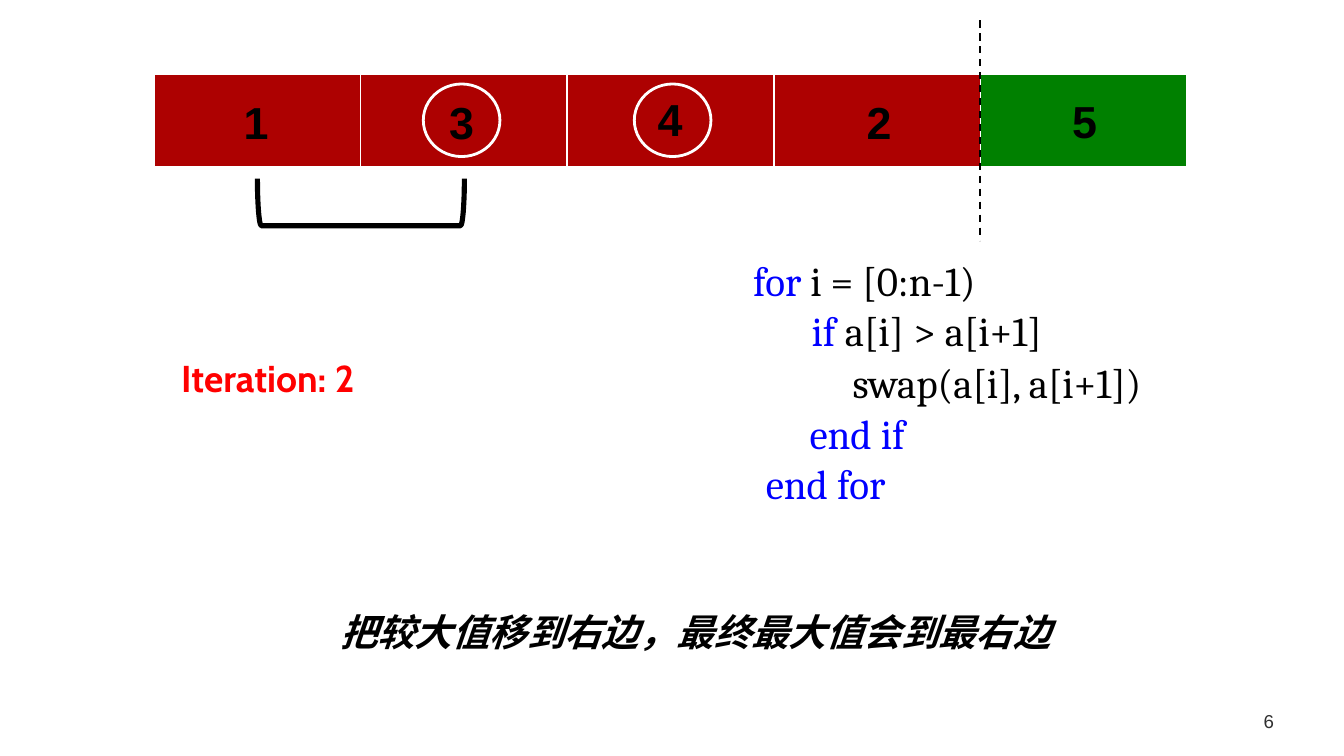
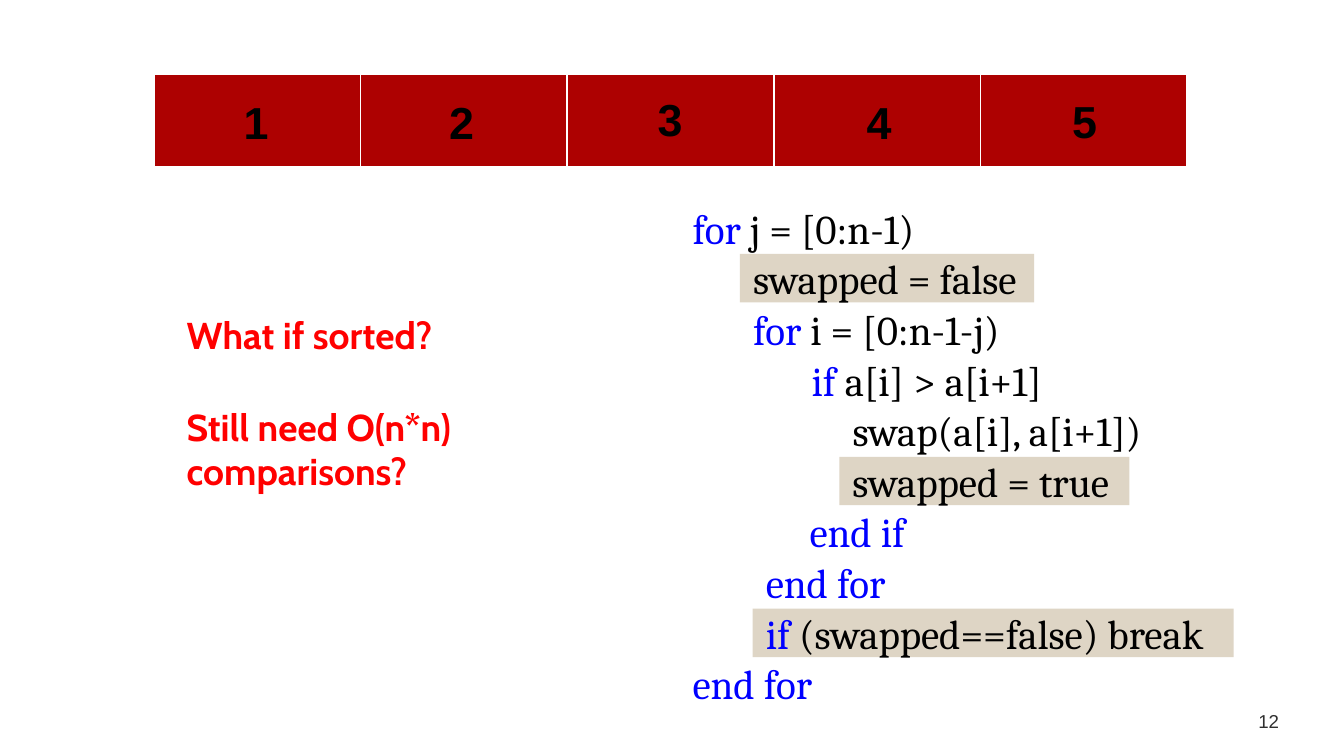
import dataclasses
import typing

import lxml.etree
import pptx
import pptx.dml.color
import pptx.enum.dml
import pptx.enum.shapes
import pptx.enum.text
import pptx.oxml.ns
import pptx.util

PX = 4572  # EMU in one px, 200 px to the inch
HUES = {
    "black": "000000", "white": "FFFFFF", "gray": "303030",
    "red": "FF0000", "blue": "0000FF", "brick": "AD0101",
    "green": "008000", "sand": "DED5C5",
}
ALIGN = pptx.enum.text.PP_ALIGN
ANCHOR = pptx.enum.text.MSO_ANCHOR
SHAPE = pptx.enum.shapes.MSO_SHAPE

# Font styles
DIGIT = {"name": "Arial", "size": 24, "bold": True}
CODE = {"name": "Cambria", "size": 22}
NOTE = {"name": "Cabin", "size": 20, "bold": True}
MOTTO = {**NOTE, "italic": True}
PAGE = {"name": "Arial", "size": 10}

# Frame styles
GROW = {"word_wrap": True,
        "auto_size": pptx.enum.text.MSO_AUTO_SIZE.SHAPE_TO_FIT_TEXT}
FOOT = {"word_wrap": True, "vertical_anchor": ANCHOR.BOTTOM}
TIGHT = {"word_wrap": False, "vertical_anchor": ANCHOR.MIDDLE,
         "margin_top": 0, "margin_bottom": 0}


@dataclasses.dataclass
class Box:
    left: int
    top: int
    wide: int
    high: int

    def emu(self) -> list[int]:
        return [PX * n for n in dataclasses.astuple(self)]


@dataclasses.dataclass
class Line:
    """One line of code: a blue keyword, then black text."""
    left: int
    wide: int
    key: str
    rest: str = ""
    hot: bool = False


Run = tuple[str, str]  # text, hue name

# Places of the array and its digits
ROW = Box(229, 110, 1538, 140)
SPOTS = [(287, 131), (593, 131), (903, 127), (1214, 131), (1520, 130)]

# Code lines that both slides show
TEST = Line(1188, 416, "if", " a[i] > a[i+1]")
SWAP = Line(1249, 504, "", "swap(a[i], a[i+1])")
END_IF = Line(1185, 226, "end if")
END_FOR = Line(1120, 226, "end for")


def rgb(hue: str) -> pptx.dml.color.RGBColor:
    return pptx.dml.color.RGBColor.from_string(HUES[hue])


def put(obj: typing.Any, vals: dict) -> None:
    for key, val in vals.items():
        setattr(obj, key, pptx.util.Pt(val) if key == "size" else val)


def write(shape, runs: list[Run], font: dict, frame: dict, para: dict) -> None:
    put(shape.text_frame, frame)
    line = shape.text_frame.paragraphs[0]
    put(line, para)
    for text, hue in runs:
        run = line.add_run()
        run.text = text
        put(run.font, font)
        run.font.color.rgb = rgb(hue)


def text(slide, box: Box, words: str, hue: str, font: dict,
         frame: dict = GROW, **para) -> None:
    shape = slide.shapes.add_textbox(*box.emu())
    write(shape, [(words, hue)], font, frame, para)


def form(slide, kind, box: Box, fill: str = "", line: str = "",
         size: float = 1):
    shape = slide.shapes.add_shape(kind, *box.emu())
    shape.shadow.inherit = False
    if fill:
        shape.fill.solid()
        shape.fill.fore_color.rgb = rgb(fill)
    else:
        shape.fill.background()
    if line:
        shape.line.color.rgb = rgb(line)
        shape.line.width = pptx.util.Pt(size)
    else:
        shape.line.fill.background()
    return shape


def edge(cell) -> None:
    """Give a cell its white borders, the lower one thicker."""
    props = cell._tc.get_or_add_tcPr()
    qn = pptx.oxml.ns.qn
    for spot, (side, size) in enumerate(
            {"lnL": 1, "lnR": 1, "lnT": 1, "lnB": 3}.items()):
        line = lxml.etree.Element(qn("a:" + side), w=str(pptx.util.Pt(size)))
        fill = lxml.etree.SubElement(line, qn("a:solidFill"))
        lxml.etree.SubElement(fill, qn("a:srgbClr"), val=HUES["white"])
        props.insert(spot, line)


def array(slide, nums: str, done: int = 0) -> None:
    """Draw the array; the last `done` cells are green."""
    table = slide.shapes.add_table(1, len(nums), *ROW.emu()).table
    put(table, {"first_row": False, "horz_banding": False})
    for col, (num, spot) in enumerate(zip(nums, SPOTS)):
        cell = table.cell(0, col)
        cell.fill.solid()
        cell.fill.fore_color.rgb = rgb(
            "green" if col >= len(nums) - done else "brick")
        edge(cell)
        text(slide, Box(*spot, 188, 100), num, "black", DIGIT,
             alignment=ALIGN.CENTER)


def code(slide, lines: list[Line], top: int, last: int) -> None:
    """Space the lines evenly from top to last, marked ones in front."""
    step = (last - top) / (len(lines) - 1)
    for row, line in sorted(enumerate(lines), key=lambda pair: pair[1].hot):
        box = Box(line.left, round(top + row * step), line.wide, 72)
        if line.hot:
            shape = form(slide, SHAPE.RECTANGLE, box, fill="sand")
        else:
            shape = slide.shapes.add_textbox(*box.emu())
        runs = [(line.key, "blue"), (line.rest, "black")]
        write(shape, [run for run in runs if run[0]], CODE, TIGHT,
              {"alignment": ALIGN.LEFT})


def start(deck, page: int):
    slide = deck.slides.add_slide(deck.slide_layouts[6])
    text(slide, Box(1795, 1040, 186, 60), str(page), "gray", PAGE, FOOT,
         alignment=ALIGN.CENTER)
    return slide


def pass_two(deck) -> None:
    slide = start(deck, 6)
    array(slide, "13425", done=1)

    # Border of the sorted part
    rule = slide.shapes.add_connector(
        pptx.enum.shapes.MSO_CONNECTOR.STRAIGHT,
        *(PX * n for n in (1458, 30, 1458, 358)))
    rule.line.color.rgb = rgb("black")
    rule.line.width = pptx.util.Pt(1)
    rule.line.dash_style = pptx.enum.dml.MSO_LINE.DASH
    lxml.etree.SubElement(rule._element.spPr,
                          pptx.oxml.ns.qn("a:effectLst"))

    # Compared pair and rings
    brace = form(slide, SHAPE.RIGHT_BRACKET, Box(502, 147, 70, 308),
                 line="black", size=2.75)
    brace.rotation = 90
    for left in (630, 944):
        form(slide, SHAPE.OVAL, Box(left, 125, 114, 108),
             line="white", size=1.5)

    # Words and code
    text(slide, Box(138, 884, 1794, 94), "把较大值移到右边，最终最大值会到最右边",
         "black", MOTTO, alignment=ALIGN.CENTER, line_spacing=1.2)
    text(slide, Box(250, 519, 644, 88), "Iteration: 2", "red", NOTE)
    code(slide, [Line(1101, 416, "for ", "i = [0:n-1)"),
                 TEST, SWAP, END_IF, END_FOR], 381, 683)


def early_stop(deck) -> None:
    slide = start(deck, 12)
    array(slide, "12345")

    # Questions
    text(slide, Box(258, 455, 644, 88), "What if sorted?", "red", NOTE)
    text(slide, Box(258, 591, 644, 154), "Still need O(n*n) comparisons?",
         "red", NOTE)

    # Code with the added lines marked
    code(slide, [
        Line(1011, 416, "for", " j = [0:n-1)"),
        Line(1101, 438, "", "swapped = false", hot=True),
        Line(1101, 416, "for ", "i = [0:n-1-j)"),
        TEST,
        SWAP,
        Line(1249, 432, "", "swapped = true", hot=True),
        END_IF,
        END_FOR,
        Line(1120, 716, "if", " (swapped==false) break", hot=True),
        dataclasses.replace(END_FOR, left=1011),
    ], 303, 981)


def main() -> None:
    deck = pptx.Presentation()
    put(deck, {"slide_width": 2000 * PX, "slide_height": 1125 * PX})
    pass_two(deck)
    early_stop(deck)
    deck.save("out.pptx")


if __name__ == "__main__":
    main()
